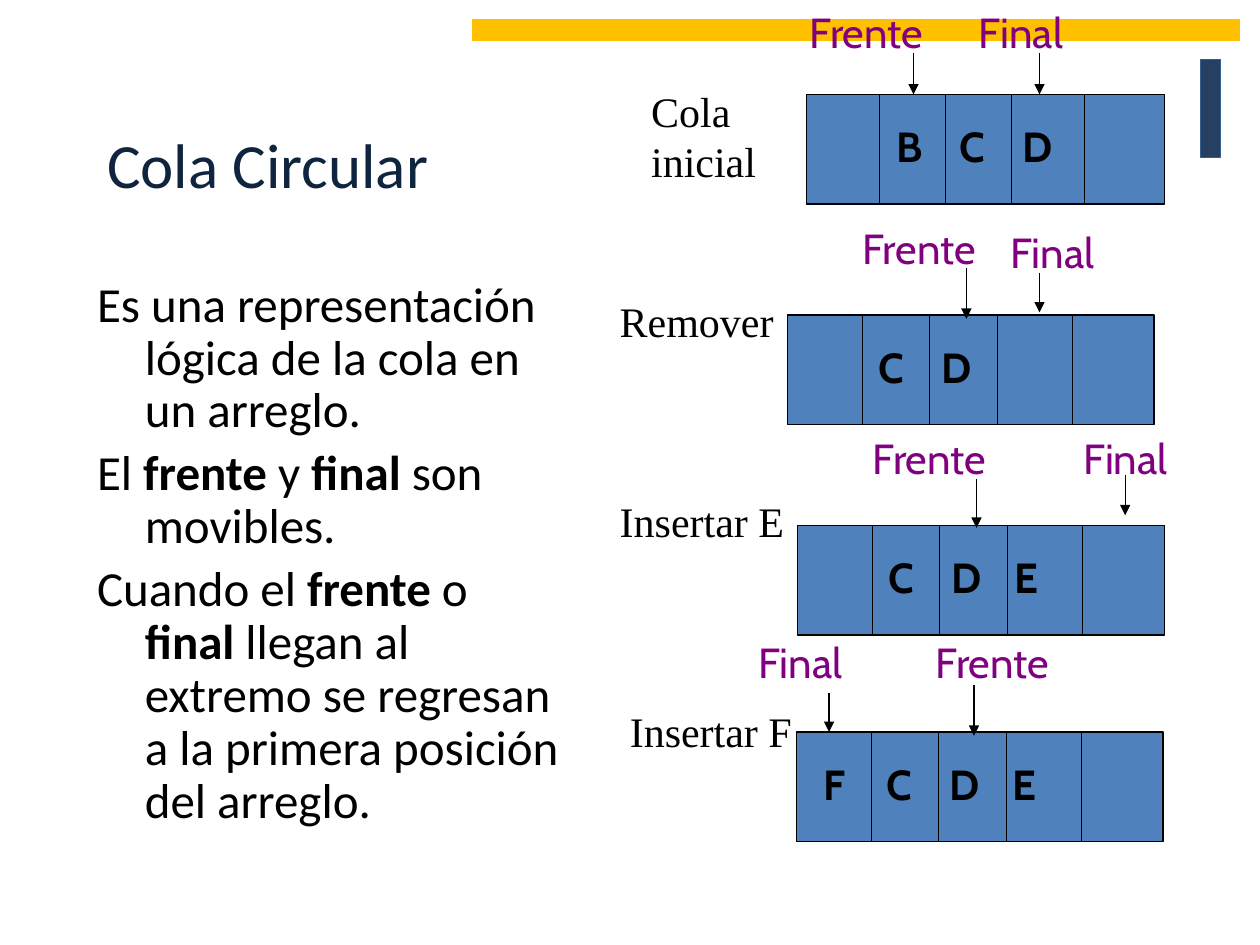
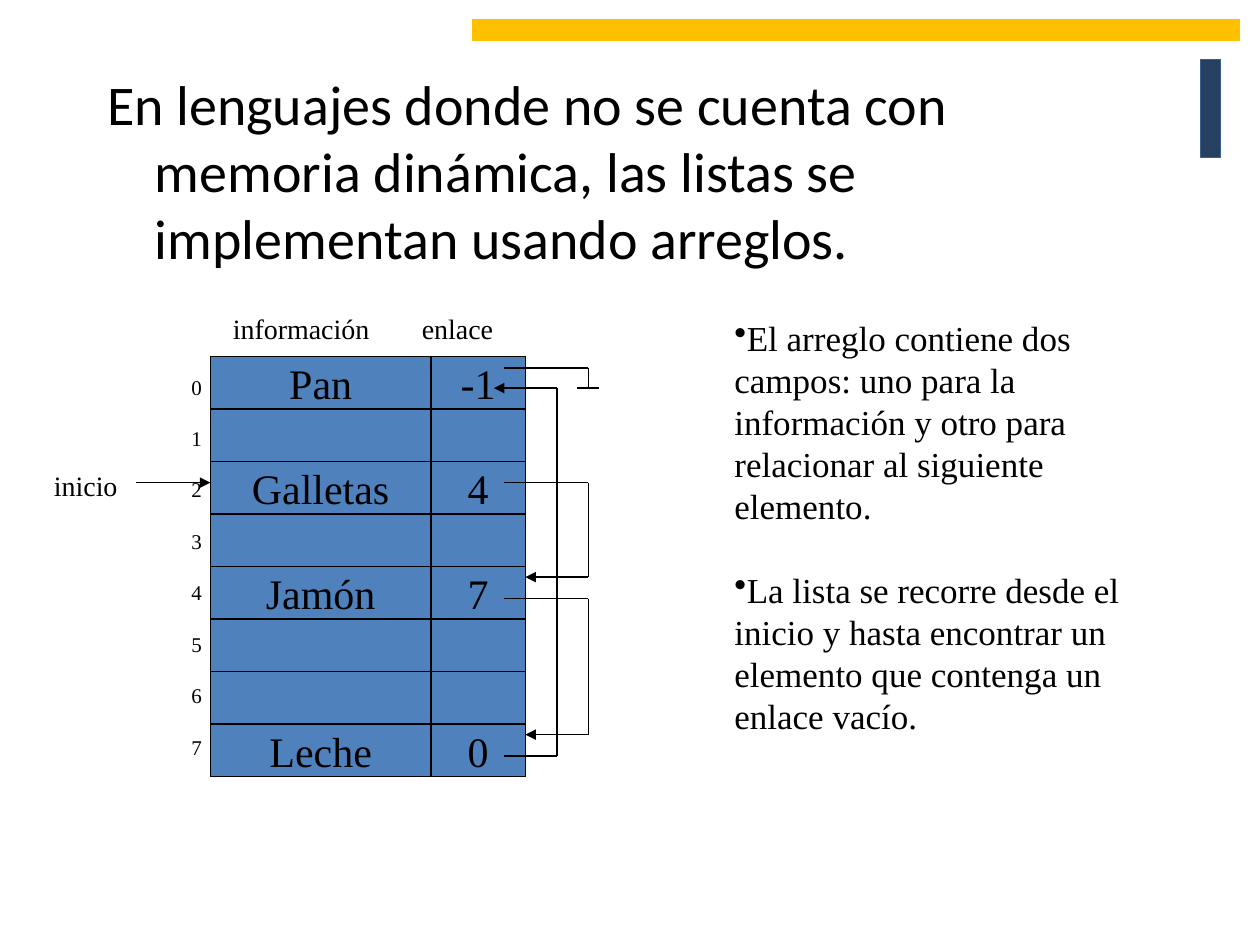
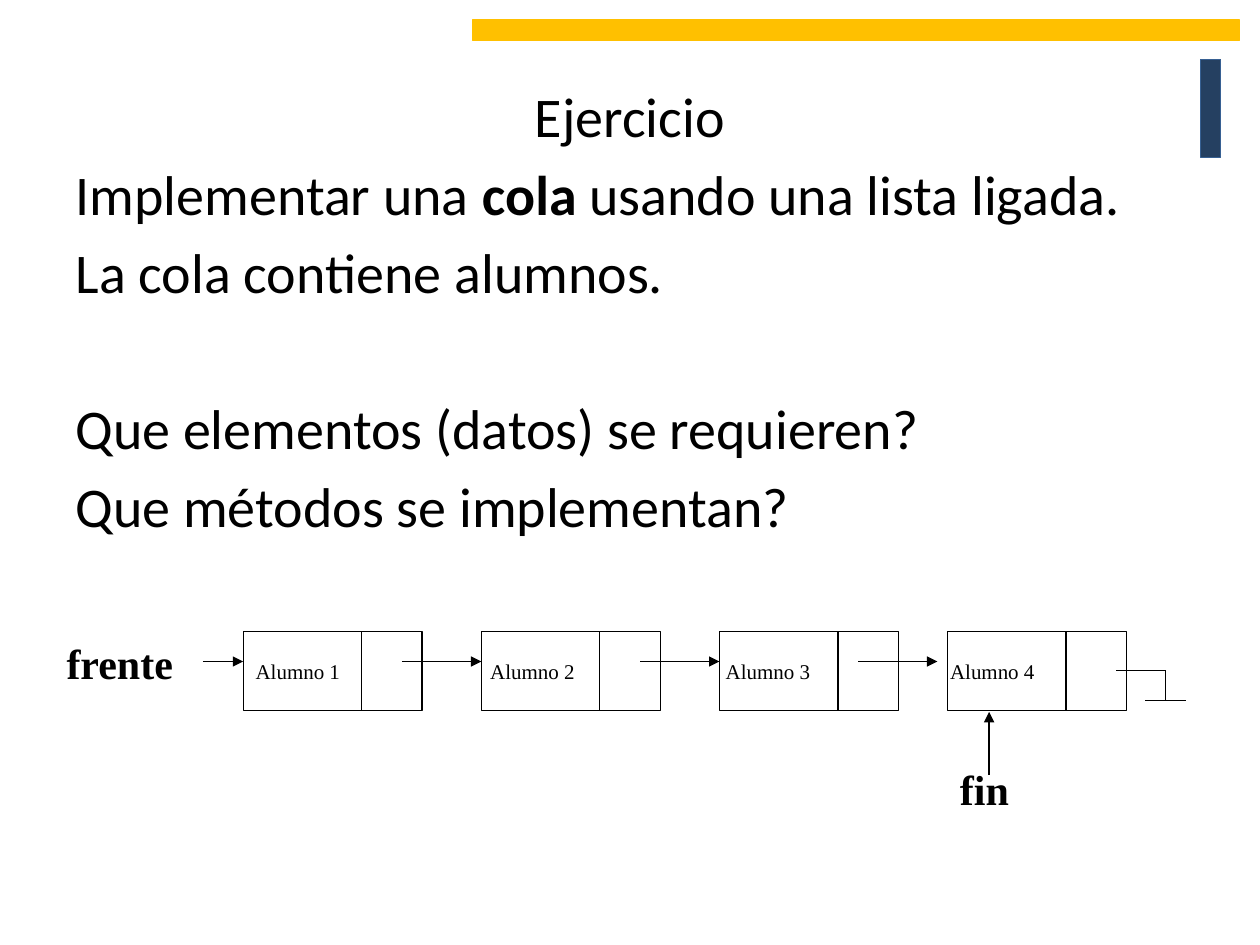
from itertools import pairwise

from pptx import Presentation
from pptx.dml.color import RGBColor
from pptx.enum import shapes, text
from pptx.oxml import ns, xmlchemy
from pptx.util import Inches, Pt

COLORS = {
    "ink": "000000", "title": "0F243E", "cell": "4F81BD", "pointer": "800080",
    "gold": "FFC000", "navy": "254061", "navy_edge": "376092",
}
SANS, SERIF, LABEL = "Calibri", "Times New Roman", "Cabin"


def color(name):
    return RGBColor.from_string(COLORS[name])


def add_xml(parent, tag, **attributes):
    child = xmlchemy.OxmlElement(tag)
    for key, value in attributes.items():
        child.set(key, str(value))
    parent.append(child)
    return child


class Board:
    """Draws styled elements on the current page of the deck."""

    def __init__(self):
        self.deck = Presentation()
        self.deck.slide_width, self.deck.slide_height = Inches(10), Inches(7.5)
        self.page = None

    def new_page(self, has_title=False):
        self.page = self.deck.slides.add_slide(self.deck.slide_layouts[1])
        if not has_title:
            title = self.page.shapes.title.element
            title.getparent().remove(title)

    def add_master_bands(self):
        """Place the two bands behind every page."""
        bands = (
            self.rect(9.53, 0.47, 0.16, 0.78, "navy", "navy_edge"),
            self.rect(3.75, 0.16, 6.09, 0.16, "gold", "gold"),
        )
        for band in bands:
            self.deck.slide_master.shapes.element.append(band.element)

    def fill_text(self, frame, paragraphs, size, font=SERIF, ink="ink", bold=False,
                  align=text.PP_ALIGN.LEFT, gap=0, hang=0, spacing=None, bullet=None,
                  tabs=()):
        """Fill a frame; in a paragraph given as a tuple, every second run is bold."""
        for row, pieces in enumerate(paragraphs):
            para = frame.paragraphs[0] if row == 0 else frame.add_paragraph()
            para.alignment = align
            para.space_before = Pt(gap if row else 0)
            if spacing:
                para.line_spacing = spacing
            props = para._p.get_or_add_pPr()
            props.set("marL", str(Inches(hang)))
            props.set("indent", str(-Inches(hang)))
            if bullet:
                add_xml(props, "a:buChar", char=bullet)
            else:
                add_xml(props, "a:buNone")
            if tabs:
                stops = add_xml(props, "a:tabLst")
                for stop in tabs:
                    add_xml(stops, "a:tab", pos=Inches(stop), algn="l")
            for index, piece in enumerate((pieces,) if isinstance(pieces, str) else pieces):
                span = para.add_run()
                span.text = piece
                span.font.name, span.font.size = font, Pt(size)
                span.font.bold = bold or index % 2 == 1
                span.font.color.rgb = color(ink)

    def placeholder(self, index, left, top, width, height, paragraphs, size, **style):
        box = self.page.placeholders[index]
        box.left, box.top = Inches(left), Inches(top)
        box.width, box.height = Inches(width), Inches(height)
        box.text_frame.auto_size = text.MSO_AUTO_SIZE.NONE
        self.fill_text(box.text_frame, paragraphs, size, SANS, **style)
        return box.text_frame

    def label(self, left, top, width, height, paragraphs, size, wrap=True, **style):
        box = self.page.shapes.add_textbox(
            Inches(left), Inches(top), Inches(width), Inches(height))
        box.text_frame.word_wrap = wrap
        self.fill_text(box.text_frame, paragraphs, size, **style)

    def rect(self, left, top, width, height, fill=None, edge="ink"):
        box = self.page.shapes.add_shape(
            shapes.MSO_SHAPE.RECTANGLE,
            Inches(left), Inches(top), Inches(width), Inches(height))
        box.shadow.inherit = False
        if fill:
            box.fill.solid()
            box.fill.fore_color.rgb = color(fill)
        else:
            box.fill.background()
        box.line.color.rgb = color(edge)
        box.line.width = Pt(0.75)
        return box

    def cell(self, left, top, width, height, caption, size, fill=None, inset=0.1,
             align=text.PP_ALIGN.CENTER):
        box = self.rect(left, top, width, height, fill)
        if caption:
            frame = box.text_frame
            frame.word_wrap = False
            frame.vertical_anchor = text.MSO_ANCHOR.MIDDLE
            frame.margin_left = Inches(inset)
            self.fill_text(frame, [caption], size, align=align)

    def route(self, *points, arrow=False):
        """Join the points with straight lines, with an optional arrowhead at the end."""
        for start, end in pairwise(points):
            line = self.page.shapes.add_connector(
                shapes.MSO_CONNECTOR.STRAIGHT, *map(Inches, start + end))
            line.line.color.rgb = color("ink")
            line.line.width = Pt(0.75)
            props = line.element.find(ns.qn("p:spPr"))
            if arrow and end == points[-1]:
                add_xml(props.find(ns.qn("a:ln")), "a:tailEnd", type="triangle")
            add_xml(props, "a:effectLst")

    def queue(self, left, top, width, letters, tabs, pointers):
        """Draw a five-slot queue; a pointer is name, label corner, arrow x, start and end."""
        height = 0.87
        self.rect(left, top, width, height, "cell")
        self.label(left + 0.12, top + 0.16, width - 0.12, 0.5, [letters], 24,
                   font=LABEL, bold=True, tabs=tabs)
        for share in (0.205, 0.388, 0.573, 0.777):
            x = left + width * share
            self.route((x, top), (x, top + height))
        for name, label_left, label_top, x, start, end in pointers:
            self.label(label_left, label_top, 1.18, 0.5, [name], 24,
                       font=LABEL, ink="pointer")
            self.route((x, start), (x, end), arrow=True)


def draw_circular_queue(board):
    board.placeholder(0, 0.75, 0.67, 4.5, 1.25, ["Cola Circular"], 36, ink="title")
    board.placeholder(1, 0.67, 2.17, 3.92, 4, [
        "Es una representación lógica de la cola en un arreglo.",
        ("El ", "frente", " y ", "final", " son movibles."),
        ("Cuando el ", "frente", " o ", "final",
         " llegan al extremo se regresan a la primera posición del arreglo."),
    ], 28, gap=5.6, hang=0.38, spacing=0.9)

    board.queue(6.4, 0.75, 2.84, "\tB\tC\tD", (0.36, 0.79, 1.22), (
        ("Frente", 6.33, 0, 7.25, 0.42, 0.75), ("Final", 7.67, 0, 8.25, 0.42, 0.75)))
    board.queue(6.25, 2.5, 2.91, "\tC\tD", (0.81, 1.23), (
        ("Frente", 6.75, 1.72, 7.67, 2.13, 2.53), ("Final", 7.92, 1.75, 8.25, 2.17, 2.48)))
    board.queue(6.33, 4.17, 2.91, "\tC\tD\tE", (0.81, 1.23, 1.78), (
        ("Frente", 6.83, 3.38, 7.75, 3.8, 4.19), ("Final", 8.5, 3.38, 8.93, 3.77, 4.09)))
    board.queue(6.32, 5.81, 2.91, "F\tC\tD\tE", (0.9, 1.33, 1.87), (
        ("Frente", 7.33, 5, 7.73, 5.44, 5.84), ("Final", 5.92, 5, 6.58, 5.5, 5.81)))

    for left, top, width, height, steps in (
            (5.07, 0.63, 1.03, 0.9, ["Cola", "inicial"]),
            (4.82, 2.3, 1.42, 0.5, ["Remover"]),
            (4.82, 3.88, 1.51, 0.5, ["Insertar E"]),
            (4.9, 5.55, 1.49, 0.5, ["Insertar F"])):
        board.label(left, top, width, height, steps, 24, wrap=False)


def draw_array_list(board):
    board.placeholder(1, 0.75, 0.5, 8.5, 1.92, [
        "En lenguajes donde no se cuenta con memoria dinámica, las listas se "
        "implementan usando arreglos."], 32, hang=0.38)

    items = {0: ("Pan", "-1"), 2: ("Galletas", "4"), 4: ("Jamón", "7"), 7: ("Leche", "0")}
    row_height = 5 / 12
    for row in range(8):
        product, link = items.get(row, ("", ""))
        top = 2.83 + row * row_height
        board.cell(1.67, top, 1.75, row_height, product, 24, "cell")
        board.cell(3.42, top, 0.75, row_height, link, 24, "cell")
    board.label(1.75, 2.42, 2.6, 0.37, ["información\tenlace"], 16, tabs=(1.63,))
    board.label(1.42, 2.92, 0.28, 3.1, [str(row) for row in range(8)], 12,
                wrap=False, gap=15)
    board.label(0.33, 3.67, 0.71, 0.37, ["inicio"], 16, wrap=False)

    board.route((1.08, 3.83), (1.67, 3.83), arrow=True)
    board.route((4, 3.83), (4.67, 3.83), (4.67, 4.58), (4.17, 4.58), arrow=True)
    board.route((4, 4.75), (4.67, 4.75), (4.67, 5.83), (4.17, 5.83), arrow=True)
    board.route((4, 6), (4.42, 6), (4.42, 3.08), (3.92, 3.08), arrow=True)
    board.route((4, 2.92), (4.67, 2.92), (4.67, 3.08))
    board.route((4.58, 3.08), (4.75, 3.08))

    board.label(5.73, 2.46, 3.35, 3.43, [
        "El arreglo contiene dos campos: uno para la información y otro para "
        "relacionar al siguiente elemento.",
        "La lista se recorre desde el inicio y hasta encontrar un elemento que "
        "contenga un enlace vacío.",
    ], 20, gap=24, bullet="•")


def draw_exercise(board):
    body = board.placeholder(1, 0.5, 0.6, 9, 6.07, [
        "Ejercicio",
        ("Implementar una ", "cola", " usando una lista ligada."),
        "La cola contiene alumnos.",
        "Que elementos (datos) se requieren?",
        "Que métodos se implementan?",
    ], 32, gap=6)
    body.paragraphs[0].alignment = text.PP_ALIGN.CENTER
    body.paragraphs[3].space_before = Pt(51)

    top, height = 5.01, 0.63
    nodes = ((1.93, 0.1), (3.82, 0.07), (5.71, 0.05), (7.52, 0.02))
    for number, (left, inset) in enumerate(nodes, 1):
        board.cell(left, top, 1.42, height, f"Alumno {number}", 12,
                   inset=inset, align=text.PP_ALIGN.LEFT)
        board.route((left + 0.94, top), (left + 0.94, top + height))

    for start, end in ((1.61, 1.93), (3.19, 3.82), (5.08, 5.71), (6.81, 7.44)):
        board.route((start, 5.25), (end, 5.25), arrow=True)
    board.route((8.86, 5.32), (9.25, 5.32), (9.25, 5.56))
    board.route((9.09, 5.56), (9.41, 5.56))
    board.route((7.85, 6.15), (7.85, 5.65), arrow=True)
    board.label(0.43, 5.01, 1.26, 0.5, ["frente"], 24, bold=True)
    board.label(7.52, 6.01, 0.59, 0.5, ["fin"], 24, wrap=False, bold=True)


def main():
    board = Board()
    board.new_page(has_title=True)
    board.add_master_bands()
    draw_circular_queue(board)
    board.new_page()
    draw_array_list(board)
    board.new_page()
    draw_exercise(board)
    board.deck.save("out.pptx")


if __name__ == "__main__":
    main()
